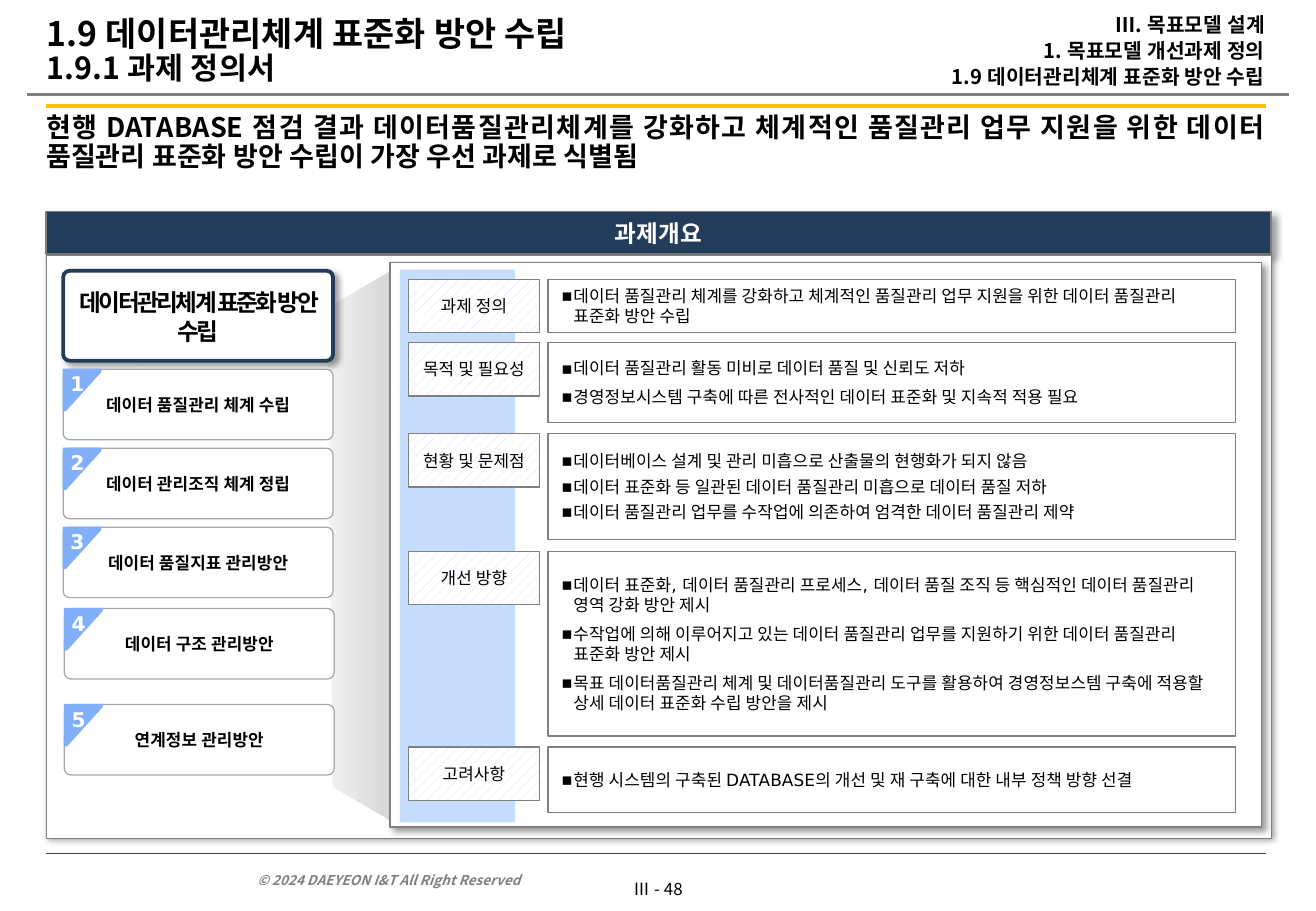
from lxml.etree import SubElement
from pptx import Presentation
from pptx.dml.color import RGBColor
from pptx.enum.dml import MSO_PATTERN
from pptx.enum.shapes import MSO_CONNECTOR, MSO_SHAPE
from pptx.enum.text import MSO_ANCHOR as Anchor, MSO_AUTO_SIZE, PP_ALIGN as Align
from pptx.oxml.ns import qn
from pptx.util import Inches, Pt

color = RGBColor.from_string
KOREAN = "Noto Sans CJK KR"
LATIN = "DejaVu Sans"
NAVY, GRAY, PALE, BLUE = "233C5A", "808080", "C7DDFD", "82AFFA"


def dress(shape, fill, line=None, width=0.75, shadow=None):
    shape.shadow.inherit = False
    if fill:
        shape.fill.solid()
        shape.fill.fore_color.rgb = color(fill)
    if line:
        shape.line.color.rgb = color(line)
        shape.line.width = Pt(width)
    else:
        shape.line.fill.background()
    if shadow:
        blur, distance = shadow
        effects = shape._element.spPr.find(qn("a:effectLst"))
        outer = SubElement(effects, qn("a:outerShdw"), blurRad=str(Pt(blur)), dist=str(Pt(distance)),
                           dir="2700000", algn="tl", rotWithShape="0")
        black = SubElement(outer, qn("a:srgbClr"), val="000000")
        SubElement(black, qn("a:alpha"), val="40000")
    return shape


def write(box, lines, size, align=Align.LEFT, anchor=Anchor.MIDDLE, margins=(0, 0, 0, 0), bold=False,
          italic=False, ink="000000", font=LATIN, leading=1, gap=0, bullet=None, tracking=0.12, wrap=True):
    frame = box.text_frame
    frame.auto_size = MSO_AUTO_SIZE.NONE
    frame.word_wrap = wrap
    frame.vertical_anchor = anchor
    frame.margin_left, frame.margin_top, frame.margin_right, frame.margin_bottom = map(Inches, margins)
    for number, line in enumerate(lines):
        para = frame.add_paragraph() if number else frame.paragraphs[0]
        para.alignment = align
        para.line_spacing = leading
        para.space_before = Pt(gap if number else 0)
        settings = para._p.get_or_add_pPr()
        indent = Inches(0.1) if bullet else 0
        settings.set("marL", str(indent))
        settings.set("indent", str(-indent))
        if bullet:
            SubElement(settings, qn("a:buFont"), typeface=LATIN)
            SubElement(settings, qn("a:buChar"), char=bullet)
        else:
            SubElement(settings, qn("a:buNone"))
        for part_number, (text, part_size) in enumerate(line if isinstance(line, list) else [(line, size)]):
            if part_number:
                para.add_line_break()
            span = para.add_run()
            span.text = text
            span.font.size = Pt(part_size)
            span.font.bold = bold
            span.font.italic = italic
            span.font.color.rgb = color(ink)
            span.font.name = font
            SubElement(span._r.rPr, qn("a:ea"), typeface=KOREAN)
            span._r.rPr.set("spc", str(round(tracking * 100)))


deck = Presentation()
deck.slide_width, deck.slide_height = Inches(10.83), Inches(7.5)
page = deck.slides.add_slide(deck.slide_layouts[3])
shapes = page.shapes
title, message, chapter = page.placeholders

for box, place in ((title, (0.38, 0, 6.49, 0.85)), (message, (0.38, 0.94, 10.04, 0.68)),
                   (chapter, (6.87, 0, 3.54, 0.86))):
    box.left, box.top, box.width, box.height = map(Inches, place)

write(title, [[("1.9 데이터관리체계 표준화 방안 수립", 20), ("1.9.1 과제 정의서", 18)]], 20,
      bold=True, font=KOREAN, leading=0.9)
write(message, ["현행 DATABASE 점검 결과 데이터품질관리체계를 강화하고 체계적인 품질관리 업무 지원을 위한 "
                "데이터 품질관리 표준화 방안 수립이 가장 우선 과제로 식별됨"], 16,
      Align.JUSTIFY, Anchor.TOP, bold=True, font=KOREAN, leading=0.9)
write(chapter, ["Ⅲ. 목표모델 설계", "1. 목표모델 개선과제 정의", "1.9 데이터관리체계 표준화 방안 수립"], 12,
      Align.RIGHT, bold=True, font=KOREAN, leading=0.9, gap=2.4)

for left, right, top, ink, width in ((0.22, 10.61, 0.78, GRAY, 1.5), (0.38, 10.42, 0.87, "FFC000", 2.5),
                                     (0.38, 10.42, 7.03, "404040", 0.5)):
    rule = shapes.add_connector(MSO_CONNECTOR.STRAIGHT, Inches(left), Inches(top), Inches(right), Inches(top))
    rule.line.color.rgb = color(ink)
    rule.line.width = Pt(width)
    SubElement(rule._element.spPr, qn("a:effectLst"))

page_number = shapes.add_textbox(Inches(5.12), Inches(7.18), Inches(0.59), Inches(0.27))
write(page_number, ["Ⅲ - 48"], 10, Align.CENTER, font=KOREAN, wrap=False)
copyright_line = shapes.add_textbox(Inches(2.02), Inches(7.09), Inches(3.02), Inches(0.27))
write(copyright_line, ["© 2024 DAEYEON I&T All Right Reserved"], 8, anchor=Anchor.BOTTOM,
      margins=(0.1, 0.05, 0.1, 0.05), bold=True, italic=True, ink=GRAY, font=KOREAN, tracking=0)

header = shapes.add_shape(MSO_SHAPE.RECTANGLE, Inches(0.38), Inches(1.74), Inches(10.08), Inches(0.35))
dress(header, NAVY, GRAY, 1, (4, 3))
write(header, ["과제개요"], 14, Align.CENTER, bold=True, ink="FFFFFF")
panel = shapes.add_shape(MSO_SHAPE.RECTANGLE, Inches(0.38), Inches(2.1), Inches(10.08), Inches(4.8))
dress(panel, "FFFFFF", GRAY, 0.5, (3, 2))

builder = shapes.build_freeform(Inches(2.69), Inches(2.54))
builder.add_line_segments([(Inches(x), Inches(y)) for x, y in ((2.74, 6.48), (3.28, 6.79), (3.29, 2.19))])
funnel = dress(builder.convert_to_shape(), None)
funnel.fill.gradient()
funnel.fill.gradient_angle = 0
for stop, position, tint in zip(funnel.fill.gradient_stops, (0, 0.82), ("F2F2F2", "D9D9D9")):
    stop.position = position
    stop.color.rgb = color(tint)

detail = shapes.add_shape(MSO_SHAPE.RECTANGLE, Inches(3.21), Inches(2.16), Inches(7.17), Inches(4.65))
dress(detail, "FFFFFF", GRAY, shadow=(4, 3))
band = shapes.add_shape(MSO_SHAPE.RECTANGLE, Inches(3.29), Inches(2.22), Inches(0.95), Inches(4.55))
dress(band, PALE)

sections = [
    ("과제 정의", 2.3, 0.44, 5, [
        "데이터 품질관리 체계를 강화하고 체계적인 품질관리 업무 지원을 위한 데이터 품질관리 표준화 방안 수립"]),
    ("목적 및 필요성", 2.82, 0.66, 5, [
        "데이터 품질관리 활동 미비로 데이터 품질 및 신뢰도 저하",
        "경영정보시스템 구축에 따른 전사적인 데이터 표준화 및 지속적 적용 필요"]),
    ("현황 및 문제점", 3.57, 0.87, 3, [
        "데이터베이스 설계 및 관리 미흡으로 산출물의 현행화가 되지 않음",
        "데이터 표준화 등 일관된 데이터 품질관리 미흡으로 데이터 품질 저하",
        "데이터 품질관리 업무를 수작업에 의존하여 엄격한 데이터 품질관리 제약"]),
    ("개선 방향", 4.54, 1.52, 5, [
        "데이터 표준화, 데이터 품질관리 프로세스, 데이터 품질 조직 등 핵심적인 데이터 품질관리 영역 강화 방안 제시",
        "수작업에 의해 이루어지고 있는 데이터 품질관리 업무를 지원하기 위한 데이터 품질관리 표준화 방안 제시",
        "목표 데이터품질관리 체계 및 데이터품질관리 도구를 활용하여 경영정보스템 구축에 적용할 "
        "상세 데이터 표준화 수립 방안을 제시"]),
    ("고려사항", 6.15, 0.54, 5, [
        "현행 시스템의 구축된 DATABASE의 개선 및 재 구축에 대한 내부 정책 방향 선결"]),
]
for name, top, height, gap, points in sections:
    label = shapes.add_shape(MSO_SHAPE.RECTANGLE, Inches(3.36), Inches(top), Inches(1.08), Inches(0.44))
    dress(label, None, GRAY)
    label.fill.patterned()
    label.fill.pattern = MSO_PATTERN.PERCENT_20
    label.fill.fore_color.rgb = color(PALE)
    label.fill.back_color.rgb = color("FFFFFF")
    write(label, [name], 10, Align.CENTER, margins=(0.05, 0.05, 0.05, 0.05))
    content = shapes.add_shape(MSO_SHAPE.RECTANGLE, Inches(4.51), Inches(top), Inches(5.66), Inches(height))
    dress(content, "FFFFFF", GRAY)
    write(content, points, 10, margins=(0.11, 0.05, 0.11, 0.05), gap=gap, bullet="▪")

topic = shapes.add_shape(MSO_SHAPE.ROUNDED_RECTANGLE, Inches(0.52), Inches(2.23), Inches(2.22), Inches(0.74))
topic.adjustments[0] = 0.07
dress(topic, "FFFFFF", NAVY, 2.25, (4, 3))
write(topic, ["데이터관리체계 표준화 방안 수립"], 14, Align.CENTER, margins=(0.08, 0.04, 0.08, 0.04),
      bold=True, leading=1.05, tracking=-1.5)

tasks = [("데이터 품질관리 체계 수립", 0.52, 3.04), ("데이터 관리조직 체계 정립", 0.52, 3.69),
         ("데이터 품질지표 관리방안", 0.52, 4.34), ("데이터 구조 관리방안", 0.53, 5.01),
         ("연계정보 관리방안", 0.53, 5.8)]
for number, (name, left, top) in enumerate(tasks, 1):
    card = shapes.add_shape(MSO_SHAPE.ROUNDED_RECTANGLE, Inches(left), Inches(top), Inches(2.22), Inches(0.58))
    card.adjustments[0] = 0.09
    dress(card, "FFFFFF", "A6A6A6")
    write(card, [name], 10, Align.CENTER, margins=(0.11, 0.05, 0.11, 0.05), bold=True)
    builder = shapes.build_freeform(Inches(left), Inches(top))
    builder.add_line_segments([(Inches(left + x), Inches(top + y))
                               for x, y in ((0.31, 0), (0.31, 0.02), (0.02, 0.34), (0, 0.34))])
    corner = dress(builder.convert_to_shape(), BLUE, BLUE)
    write(corner, [str(number)], 12, anchor=Anchor.TOP, margins=(0.06, 0.02, 0.02, 0.05),
          bold=True, ink="FFFFFF")

deck.save("out.pptx")
